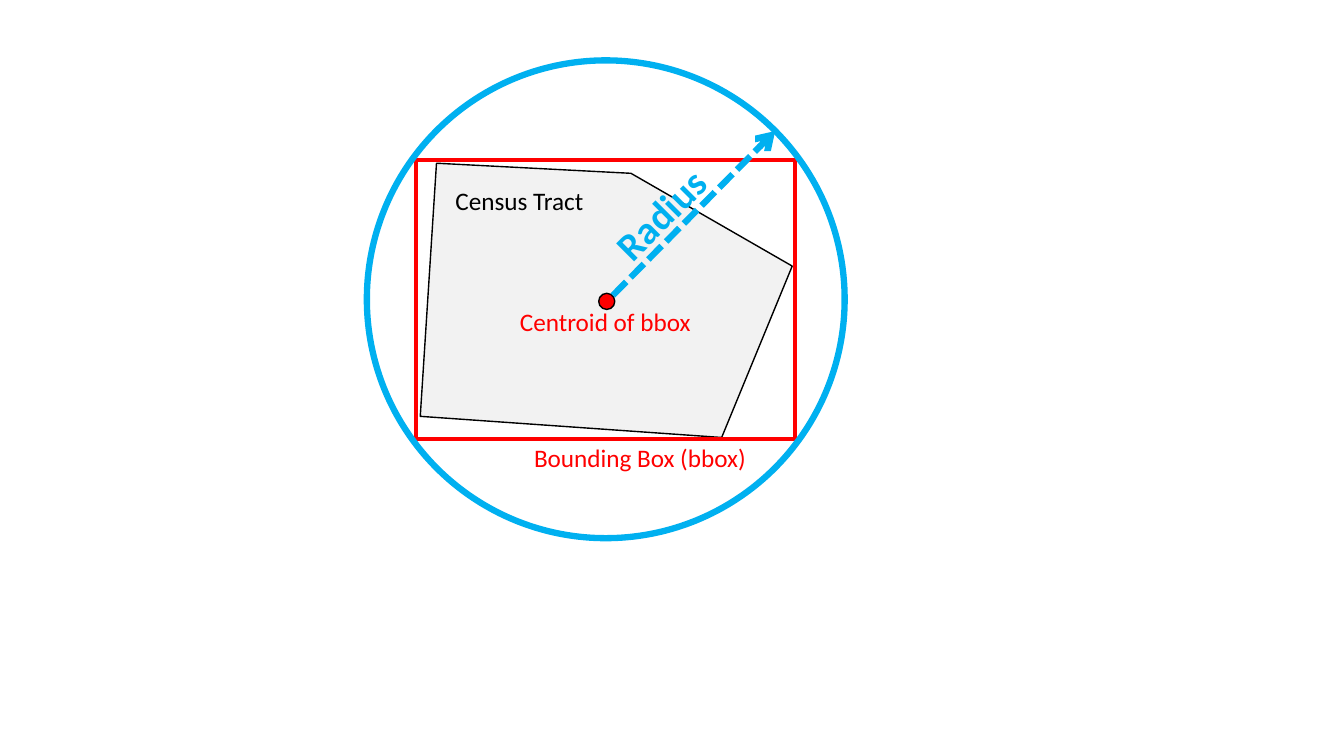
"""Draw a census tract with its bounding box, centroid and enclosing circle."""
from dataclasses import dataclass

from lxml import etree
from pptx import Presentation
from pptx.dml.color import RGBColor
from pptx.enum.dml import MSO_LINE
from pptx.enum.shapes import MSO_CONNECTOR, MSO_SHAPE
from pptx.enum.text import MSO_AUTO_SIZE
from pptx.oxml.ns import qn
from pptx.util import Pt

RECTANGLE, OVAL = MSO_SHAPE.RECTANGLE, MSO_SHAPE.OVAL
STRAIGHT = MSO_CONNECTOR.STRAIGHT
SQUARE_DOT = MSO_LINE.SQUARE_DOT
FIT_SHAPE = MSO_AUTO_SIZE.SHAPE_TO_FIT_TEXT
FONT = "Calibri"
COLORS = {"tract": "F2F2F2", "black": "000000", "red": "FF0000", "blue": "00B0F0"}
TRACT_CORNERS = [(450.7, 123.8), (311.8, 116.6), (300.2, 297.4), (515.5, 312.5), (565.9, 190.1)]


@dataclass
class Outline:
    kind: MSO_SHAPE
    center: tuple[float, float]
    size: tuple[float, float]
    line: str
    weight: float
    fill: str | None = None


@dataclass
class Label:
    text: str
    box: tuple[float, float, float, float]
    color: str
    size: float = 18
    bold: bool = False
    rotation: float = 0


OUTLINES = [
    Outline(RECTANGLE, (432.7, 214.2), (270.7, 199.4), "red", 3),
    Outline(OVAL, (433.4, 215.3), (11.5, 11.5), "black", 1, "red"),
    Outline(OVAL, (432.7, 213.8), (341.3, 341.3), "blue", 4.5),
]
LABELS = [
    Label("Bounding Box (bbox)", (374.4, 312.5, 167.8, 28.8), "red"),
    Label("Census Tract", (318.2, 128.9, 107.3, 28.8), "black"),
    Label("Centroid of bbox", (364.3, 215.3, 138.2, 28.8), "red"),
    Label("Radius", (425.5, 131.8, 92.9, 41), "blue", size=28, bold=True, rotation=315),
]


def rgb(name: str) -> RGBColor:
    return RGBColor.from_string(COLORS[name])


def style(shape, line: str, weight: float, fill: str | None = None) -> None:
    shape.shadow.inherit = False
    shape.line.color.rgb = rgb(line)
    shape.line.width = Pt(weight)
    if fill:
        shape.fill.solid()
        shape.fill.fore_color.rgb = rgb(fill)
    else:
        shape.fill.background()


def draw_tract(slide, corners: list[tuple[float, float]]) -> None:
    points = [(Pt(x), Pt(y)) for x, y in corners]
    builder = slide.shapes.build_freeform(*points[0])
    builder.add_line_segments(points[1:], close=True)
    style(builder.convert_to_shape(), "black", 1, "tract")


def draw_outline(slide, outline: Outline) -> None:
    (x, y), (width, height) = outline.center, outline.size
    shape = slide.shapes.add_shape(
        outline.kind, Pt(x - width / 2), Pt(y - height / 2), Pt(width), Pt(height))
    style(shape, outline.line, outline.weight, outline.fill)


def draw_radius(slide, start: tuple[float, float], end: tuple[float, float]) -> None:
    radius = slide.shapes.add_connector(STRAIGHT, *(Pt(value) for value in start + end))
    radius.line.color.rgb = rgb("blue")
    radius.line.width = Pt(4.5)
    radius.line.dash_style = SQUARE_DOT
    properties = radius.line._get_or_add_ln()
    etree.SubElement(properties, qn("a:tailEnd"), type="arrow")
    etree.SubElement(properties.getparent(), qn("a:effectLst"))


def add_text(slide, text: str, box: tuple[float, float, float, float], *,
             color: str, size: float, bold: bool, rotation: float) -> None:
    label = slide.shapes.add_textbox(*(Pt(value) for value in box))
    label.rotation = rotation
    frame = label.text_frame
    frame.word_wrap = False
    frame.auto_size = FIT_SHAPE
    run = frame.paragraphs[0].add_run()
    run.text = text
    run.font.name = FONT
    run.font.size = Pt(size)
    run.font.bold = bold
    run.font.color.rgb = rgb(color)


def main() -> None:
    deck = Presentation()
    deck.slide_width, deck.slide_height = Pt(960), Pt(540)
    slide = deck.slides.add_slide(deck.slide_layouts[6])
    draw_tract(slide, TRACT_CORNERS)
    for outline in OUTLINES:
        draw_outline(slide, outline)
    draw_radius(slide, (437.8, 211), (553.7, 93.6))
    for label in LABELS:
        add_text(slide, label.text, label.box, color=label.color, size=label.size,
                 bold=label.bold, rotation=label.rotation)
    deck.save("out.pptx")


main()
